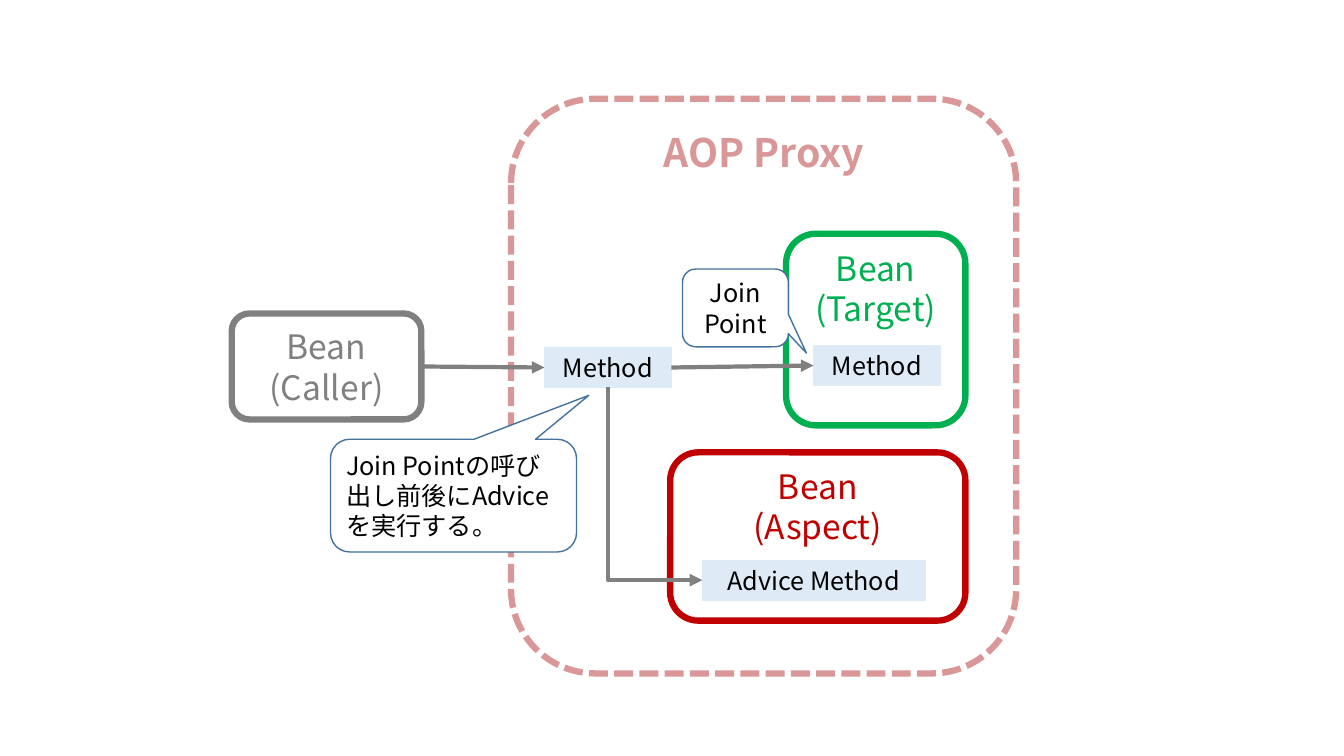
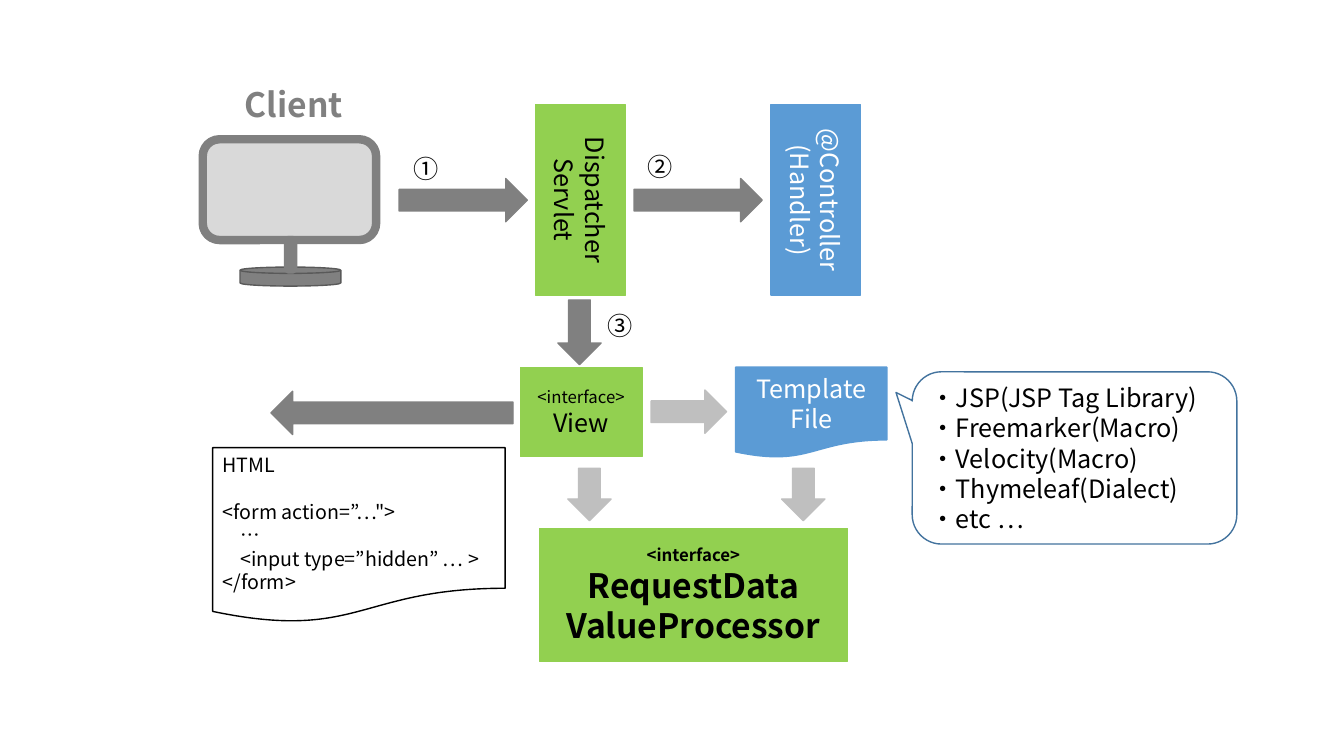
from dataclasses import dataclass
from typing import Optional

from lxml import etree
from pptx import Presentation
from pptx import util as u
from pptx.dml.color import RGBColor
from pptx.enum import dml, shapes, text
from pptx.oxml.ns import qn

FONT = "Noto Sans CJK JP"
LINE_HEIGHT = 1.2
BLANK_LAYOUT = 6

WHITE = RGBColor(0xFF, 0xFF, 0xFF)
BLACK = RGBColor(0x00, 0x00, 0x00)
GRAY = RGBColor(0x80, 0x80, 0x80)
DARK_GRAY = RGBColor(0x59, 0x59, 0x59)
MID_GRAY = RGBColor(0xBF, 0xBF, 0xBF)
LIGHT_GRAY = RGBColor(0xD9, 0xD9, 0xD9)
PINK = RGBColor(0xD9, 0x98, 0x97)
GREEN = RGBColor(0x00, 0xB0, 0x50)
RED = RGBColor(0xC0, 0x00, 0x00)
PALE_BLUE = RGBColor(0xDE, 0xEB, 0xF7)
BLUE = RGBColor(0x5B, 0x9B, 0xD5)
CALLOUT_BLUE = RGBColor(0x43, 0x73, 0x9E)
LIME = RGBColor(0x92, 0xD0, 0x50)

KIND = shapes.MSO_SHAPE
TOP, MIDDLE = text.MSO_ANCHOR.TOP, text.MSO_ANCHOR.MIDDLE
LEFT, CENTER = text.PP_ALIGN.LEFT, text.PP_ALIGN.CENTER


@dataclass(frozen=True)
class Wording:
    """Paragraphs split at line breaks; lead_size and lead_gap set the first one apart."""
    content: str
    size: float = 18
    color: RGBColor = BLACK
    bold: bool = False
    align: text.PP_ALIGN = CENTER
    anchor: text.MSO_ANCHOR = MIDDLE
    lead_size: Optional[float] = None
    lead_gap: float = 0
    vertical: bool = False


@dataclass(frozen=True)
class Box:
    """A preset shape, placed in centimetres."""
    kind: shapes.MSO_SHAPE
    left: float
    top: float
    width: float
    height: float
    fill: Optional[RGBColor]
    line: RGBColor
    line_width: float = 1
    wording: Optional[Wording] = None
    adjustments: tuple[float, ...] = ()
    dash: Optional[dml.MSO_LINE] = None


@dataclass(frozen=True)
class Label:
    """Free text that does not wrap, placed in centimetres."""
    left: float
    top: float
    width: float
    height: float
    wording: Wording


def write(frame, wording: Wording) -> None:
    frame.vertical_anchor = wording.anchor
    if wording.vertical:
        frame._txBody.bodyPr.set("vert", "vert")
    for index, content in enumerate(wording.content.split("\n")):
        paragraph = frame.paragraphs[0] if index == 0 else frame.add_paragraph()
        size = wording.lead_size if index == 0 and wording.lead_size else wording.size
        paragraph.alignment = wording.align
        paragraph.line_spacing = u.Pt(size * LINE_HEIGHT)
        if index == 1 and wording.lead_gap:
            paragraph.space_before = u.Pt(wording.lead_gap)
        run = paragraph.add_run()
        run.text = content
        font_values = {"name": FONT, "size": u.Pt(size), "bold": wording.bold}
        for name, value in font_values.items():
            setattr(run.font, name, value)
        run.font.color.rgb = wording.color
        east_asian = etree.SubElement(run._r.get_or_add_rPr(), qn("a:ea"))
        east_asian.set("typeface", FONT)


def draw_box(slide, box: Box):
    place = (u.Cm(value) for value in (box.left, box.top, box.width, box.height))
    shape = slide.shapes.add_shape(box.kind, *place)
    shape.shadow.inherit = False
    if box.fill is None:
        shape.fill.background()
    else:
        shape.fill.solid()
        shape.fill.fore_color.rgb = box.fill
    shape.line.color.rgb = box.line
    shape.line.width = u.Pt(box.line_width)
    if box.dash is not None:
        shape.line.dash_style = box.dash
    for index, value in enumerate(box.adjustments):
        shape.adjustments[index] = value
    if box.wording:
        write(shape.text_frame, box.wording)
    return shape


def draw_label(slide, label: Label) -> None:
    place = (u.Cm(value) for value in (label.left, label.top, label.width, label.height))
    frame = slide.shapes.add_textbox(*place).text_frame
    frame.word_wrap = False
    frame.auto_size = text.MSO_AUTO_SIZE.SHAPE_TO_FIT_TEXT
    write(frame, label.wording)


def connect(slide, start, start_site: int, end, end_site: int):
    """Join two shapes at their connection sites with an arrow."""
    connector = slide.shapes.add_connector(shapes.MSO_CONNECTOR.STRAIGHT, 0, 0, 0, 0)
    connector.begin_connect(start, start_site)
    connector.end_connect(end, end_site)
    connector.line.color.rgb = GRAY
    connector.line.width = u.Pt(3)
    properties = connector._element.spPr
    etree.SubElement(properties.find(qn("a:ln")), qn("a:tailEnd")).set("type", "triangle")
    etree.SubElement(properties, qn("a:effectLst"))
    return connector


def bend_down_then_right(connector) -> None:
    """Turn a straight connector into one corner: a quarter-turned, flipped elbow."""
    width, height = connector.width, connector.height
    center_x = connector.left + width // 2
    center_y = connector.top + height // 2
    frame = {"left": center_x - height // 2, "top": center_y - width // 2,
             "width": height, "height": width}
    for name, value in frame.items():
        setattr(connector, name, value)
    properties = connector._element.spPr
    properties.find(qn("a:prstGeom")).set("prst", "bentConnector2")
    transform = properties.find(qn("a:xfrm"))
    for name, value in {"rot": "16200000", "flipH": "1"}.items():
        transform.set(name, value)


def bean(role: str, left: float, top: float, width: float, height: float,
         color: RGBColor, anchor: text.MSO_ANCHOR = TOP) -> Box:
    return Box(KIND.ROUNDED_RECTANGLE, left, top, width, height, WHITE, color, 4.5,
               Wording(f"Bean\n({role})", 24, color, anchor=anchor))


def method(name: str, left: float, top: float, width: float = 3.2) -> Box:
    return Box(KIND.RECTANGLE, left, top, width, 1, PALE_BLUE, PALE_BLUE, 0.5, Wording(name))


def callout(left: float, top: float, width: float, height: float, tip: tuple[float, float],
            content: str, align: text.PP_ALIGN = LEFT, fill: Optional[RGBColor] = WHITE) -> Box:
    return Box(KIND.ROUNDED_RECTANGULAR_CALLOUT, left, top, width, height, fill, CALLOUT_BLUE,
               wording=Wording(content, align=align), adjustments=(*tip, 0.17))


def component(left: float, top: float, width: float, height: float, wording: Wording) -> Box:
    return Box(KIND.RECTANGLE, left, top, width, height, LIME, LIME, 0.5, wording)


def block_arrow(kind: shapes.MSO_SHAPE, left: float, top: float, length: float,
                color: RGBColor = GRAY) -> Box:
    thickness = 1.09
    size = (thickness, length) if kind == KIND.DOWN_ARROW else (length, thickness)
    return Box(kind, left, top, *size, color, color)


def step(number: str, left: float, top: float) -> Label:
    return Label(left, top, 1.14, 1.02, Wording(number, align=LEFT, anchor=TOP))


def build_proxy_slide(slide) -> None:
    draw_box(slide, Box(KIND.ROUNDED_RECTANGLE, 12.88, 2.49, 12.73, 14.48, WHITE, PINK, 4.5,
                        Wording("AOP Proxy", 28, PINK, bold=True, anchor=TOP),
                        dash=dml.MSO_LINE.SQUARE_DOT))
    draw_box(slide, bean("Target", 19.81, 5.89, 4.52, 4.83, GREEN))
    draw_box(slide, bean("Aspect", 16.89, 11.4, 7.44, 4.24, RED))
    caller = draw_box(slide, bean("Caller", 5.84, 7.9, 4.78, 2.67, GRAY, MIDDLE))
    proxy_method = draw_box(slide, method("Method", 13.72, 8.76))
    target_method = draw_box(slide, method("Method", 20.5, 8.71))
    advice_method = draw_box(slide, method("Advice Method", 17.7, 14.12, 5.61))

    left_site, bottom_site, right_site = 1, 2, 3
    connect(slide, caller, right_site, proxy_method, left_site)
    connect(slide, proxy_method, right_site, target_method, left_site)
    bend_down_then_right(connect(slide, proxy_method, bottom_site, advice_method, left_site))

    draw_box(slide, callout(17.2, 6.78, 2.67, 1.96, (0.67, 0.58), "Join Point", CENTER))
    draw_box(slide, callout(8.33, 11.07, 6.2, 2.84, (0.55, -0.89),
                            "Join Pointの呼び出し前後にAdviceを実行する。"))


def build_request_slide(slide) -> None:
    html = ('HTML\n<form action=”…">\n    …\n'
            '    <input type=”hidden” … >\n</form>')
    templates = ("・JSP(JSP Tag Library)\n・Freemarker(Macro)\n・Velocity(Macro)\n"
                 "・Thymeleaf(Dialect)\n・etc …")
    boxes = (
        component(13.49, 2.64, 2.26, 4.8, Wording("Dispatcher\nServlet", vertical=True)),
        Box(KIND.RECTANGLE, 19.43, 2.64, 2.26, 4.8, BLUE, BLUE,
            wording=Wording("@Controller\n(Handler)", color=WHITE, vertical=True)),
        Box(KIND.ROUNDED_RECTANGLE, 5.11, 3.51, 4.37, 2.54, LIGHT_GRAY, GRAY, 6),
        Box(KIND.FLOWCHART_MAGNETIC_DISK, 6.05, 6.73, 2.54, 0.48, GRAY, DARK_GRAY),
        Box(KIND.ROUNDED_RECTANGLE, 7.26, 6.05, 0.13, 0.74, LIGHT_GRAY, GRAY, 6),
        component(13.59, 13.31, 7.77, 3.35,
                  Wording("<interface>\nRequestData\nValueProcessor", 24, bold=True,
                          lead_size=12)),
        component(13.11, 9.25, 3.07, 2.26, Wording("<interface>\nView", lead_size=12)),
        block_arrow(KIND.RIGHT_ARROW, 10.06, 4.5, 3.23),
        block_arrow(KIND.RIGHT_ARROW, 15.98, 4.5, 3.23),
        block_arrow(KIND.DOWN_ARROW, 14.06, 7.56, 1.63),
        block_arrow(KIND.LEFT_ARROW, 6.83, 9.86, 6.1),
        block_arrow(KIND.RIGHT_ARROW, 16.41, 9.83, 1.9, MID_GRAY),
        block_arrow(KIND.DOWN_ARROW, 14.31, 11.8, 1.32, MID_GRAY),
        block_arrow(KIND.DOWN_ARROW, 19.7, 11.8, 1.32, MID_GRAY),
        callout(22.99, 9.37, 8.18, 4.34, (-0.55, -0.38), templates, fill=None),
        Box(KIND.FLOWCHART_DOCUMENT, 18.54, 9.25, 3.81, 2.29, BLUE, BLUE,
            wording=Wording("Template\nFile", color=WHITE)),
        Box(KIND.FLOWCHART_DOCUMENT, 5.36, 11.28, 7.37, 4.42, WHITE, BLACK,
            wording=Wording(html, 14, align=LEFT, anchor=TOP, lead_gap=14 * LINE_HEIGHT)),
    )
    labels = (
        Label(5.92, 1.98, 2.97, 1.27,
              Wording("Client", 24, GRAY, bold=True, align=LEFT, anchor=TOP)),
        step("①", 10.16, 3.73),
        step("②", 16.08, 3.68),
        step("③", 15.06, 7.7),
    )
    for box in boxes:
        draw_box(slide, box)
    for label in labels:
        draw_label(slide, label)


def main() -> None:
    presentation = Presentation()
    presentation.slide_width = u.Cm(33.87)
    presentation.slide_height = u.Cm(19.05)
    for build in (build_proxy_slide, build_request_slide):
        build(presentation.slides.add_slide(presentation.slide_layouts[BLANK_LAYOUT]))
    presentation.save("out.pptx")


if __name__ == "__main__":
    main()
